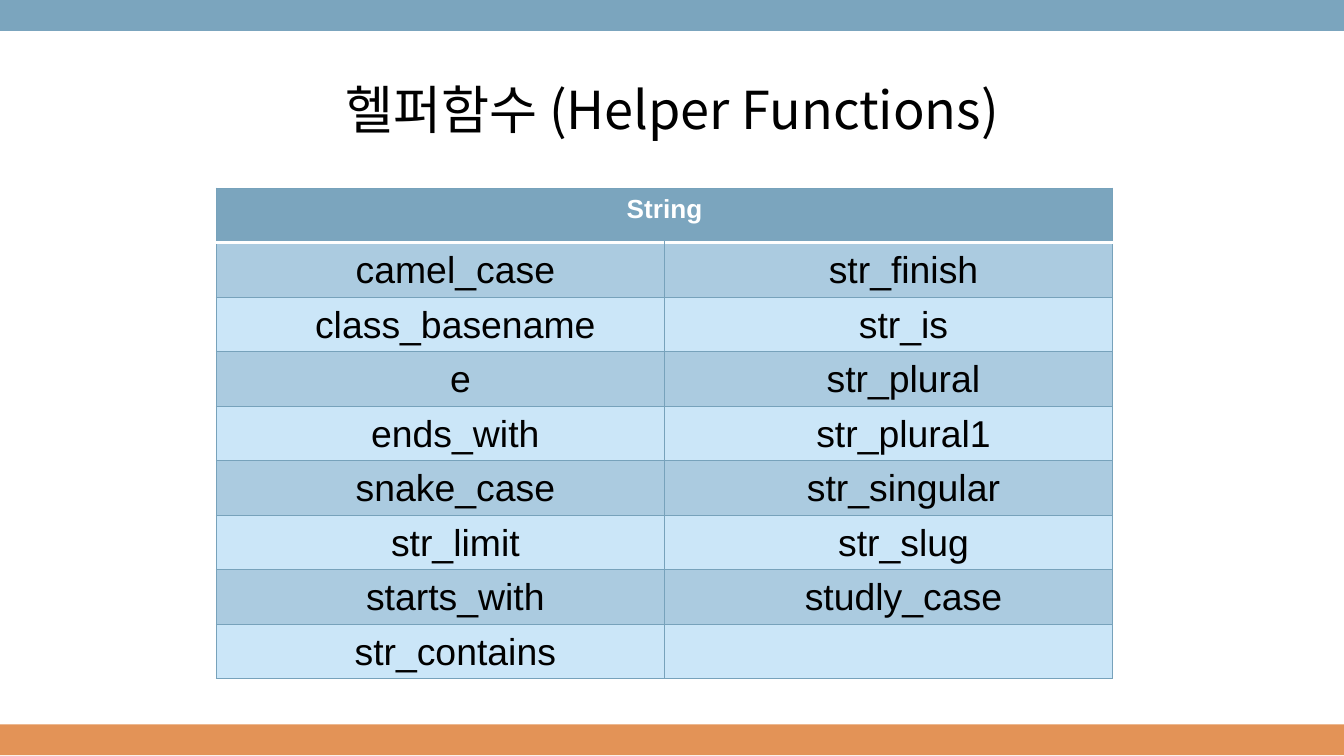
from lxml import etree
from pptx import Presentation
from pptx.dml.color import RGBColor
from pptx.enum.shapes import MSO_SHAPE
from pptx.enum.text import MSO_ANCHOR, MSO_AUTO_SIZE, PP_ALIGN
from pptx.oxml.ns import qn
from pptx.util import Inches, Pt

BLUE, ORANGE, BORDER = "7BA5BE", "E39357", "77A2BB"
DARK_ROW, LIGHT_ROW = "ABCBE0", "CBE6F8"
TITLE_FONT = "Noto Sans CJK KR"
# The trailing space belongs to each name and shifts its centring.
ROWS = [
    ("camel_case ", "str_finish "),
    ("class_basename ", "str_is "),
    ("e", "str_plural "),
    ("ends_with ", "str_plural1 "),
    ("snake_case ", "str_singular "),
    ("str_limit ", "str_slug "),
    ("starts_with ", "studly_case "),
    ("str_contains ", ""),
]


def rgb(color):
    """Turn a hex string into a colour."""
    return RGBColor.from_string(color)


def set_border(cell, side, color, width):
    """Draw one side (L, R, T or B) of a cell, ahead of its fill."""
    tc_pr = cell._tc.get_or_add_tcPr()
    ln = etree.Element(qn(f"a:ln{side}"), w=str(Pt(width)))
    fill = etree.SubElement(ln, qn("a:solidFill"))
    etree.SubElement(fill, qn("a:srgbClr"), val=color)
    tc_pr.insert("LRTB".index(side), ln)


prs = Presentation()
prs.slide_width, prs.slide_height = Inches(10), Inches(10 * 9 / 16)
s = prs.slides.add_slide(prs.slide_layouts[5])

for top, color in ((5.39, ORANGE), (0, BLUE)):
    bar = s.shapes.add_shape(MSO_SHAPE.RECTANGLE, 0, Inches(top),
                             prs.slide_width, Inches(0.23))
    bar.shadow.inherit = False
    bar.fill.solid()
    bar.fill.fore_color.rgb = rgb(color)
    bar.line.fill.background()

title = s.shapes.title
title.left, title.top = Inches(0.34), Inches(0.49)
title.width, title.height = Inches(9.32), Inches(0.63)
tf = title.text_frame
tf.text = "헬퍼함수 (Helper Functions)"
tf.auto_size = MSO_AUTO_SIZE.NONE
tf.vertical_anchor = MSO_ANCHOR.MIDDLE
tf.margin_left = tf.margin_right = tf.margin_top = tf.margin_bottom = Inches(0.1)
p = tf.paragraphs[0]
p.alignment = PP_ALIGN.CENTER
r = p.runs[0]
r.font.size, r.font.name = Pt(28), TITLE_FONT
r.font.color.rgb = rgb("000000")
etree.SubElement(r.font._element, qn("a:ea"), typeface=TITLE_FONT)

table = s.shapes.add_table(len(ROWS) + 1, 2, Inches(1.61), Inches(1.4),
                           Inches(6.67), Inches(3.65)).table
table.cell(0, 0).merge(table.cell(0, 1))

for i, names in enumerate([("String", ""), *ROWS]):
    header = i == 0
    for j, name in enumerate(names):
        cell = table.cell(i, j)
        cell.fill.solid()
        cell.fill.fore_color.rgb = rgb(BLUE if header else DARK_ROW if i % 2 else LIGHT_ROW)
        for side in "LRTB":
            heading_rule = (i, side) in ((0, "B"), (1, "T"))
            set_border(cell, side, *(("FFFFFF", 2) if heading_rule else (BORDER, 0.75)))
        if not header:
            cell.vertical_anchor = MSO_ANCHOR.MIDDLE
            cell.margin_left = Inches(0.31)
            cell.margin_right = cell.margin_top = Inches(0.01)
            cell.margin_bottom = 0
        p = cell.text_frame.paragraphs[0]
        p.text = name
        p.alignment = PP_ALIGN.CENTER
        for r in p.runs:
            r.font.name = "Arial"
            r.font.size = Pt(14 if header else 20)
            r.font.bold = header
            r.font.color.rgb = rgb("FFFFFF" if header else "000000")

prs.save("out.pptx")
